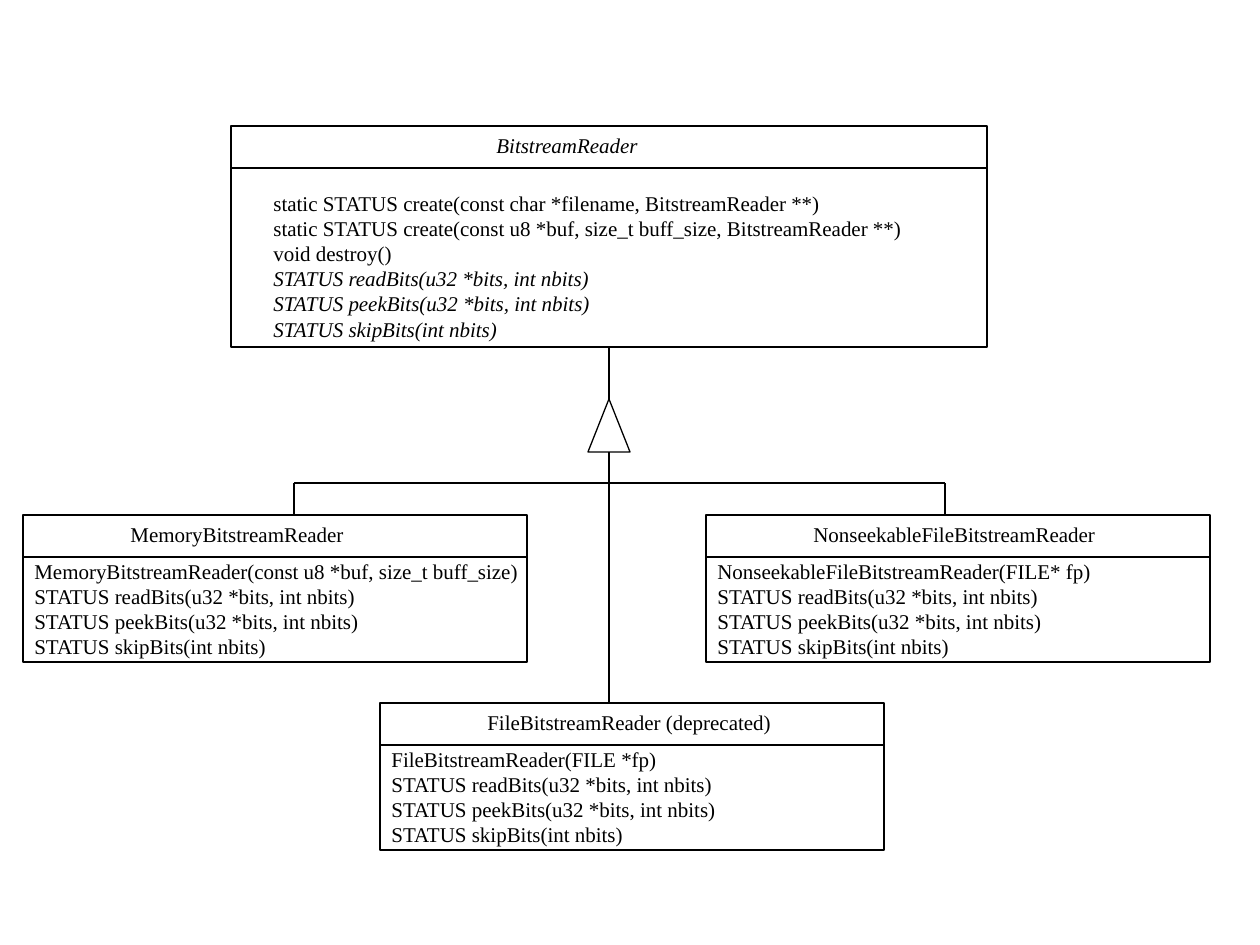
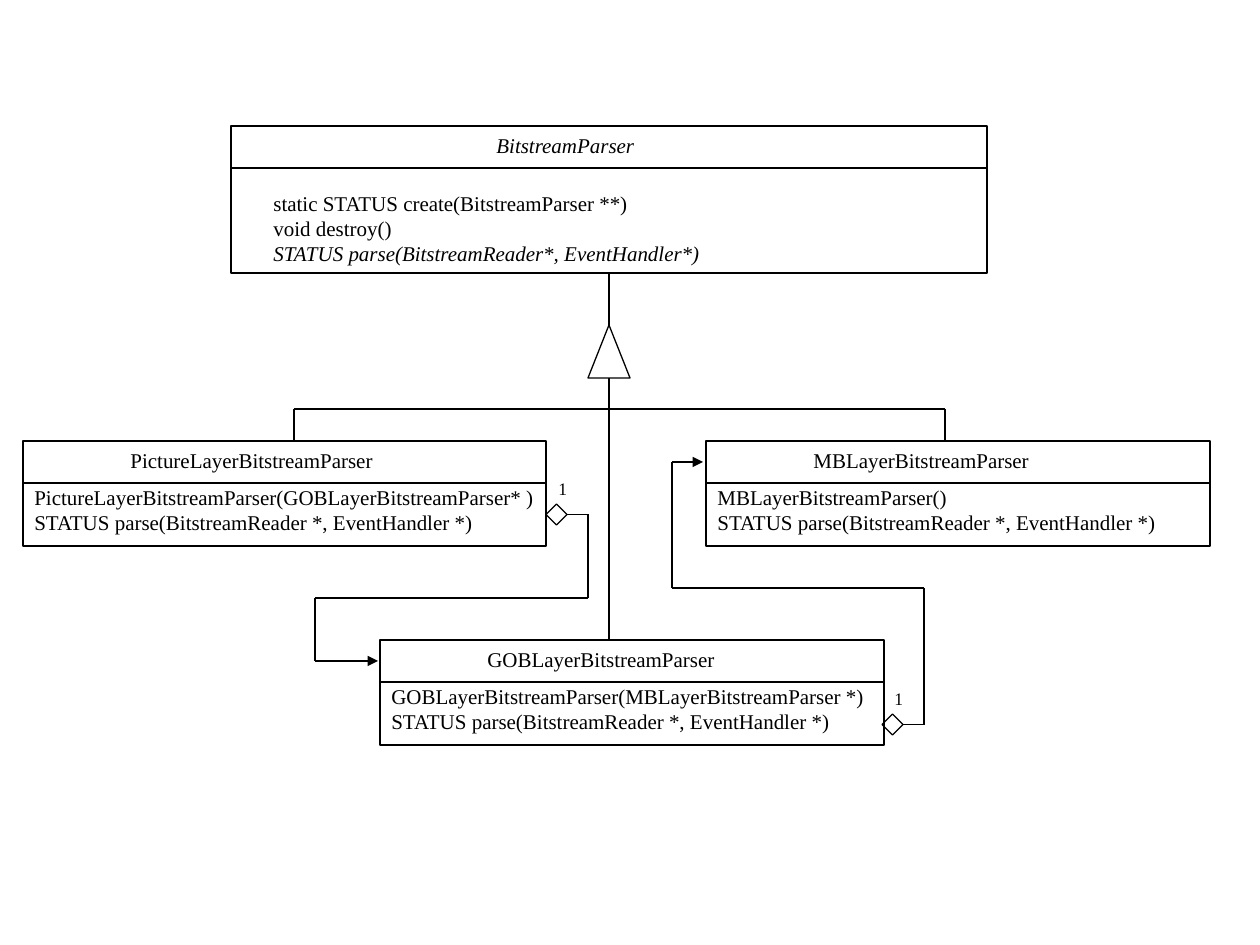
import itertools

import lxml.etree
import pptx
import pptx.dml.color
import pptx.enum.shapes
import pptx.enum.text
import pptx.oxml.ns
import pptx.util

BLACK = pptx.dml.color.RGBColor(0, 0, 0)
FONT = "Times New Roman"
TEXT_SIZE = 12
LABEL_SIZE = 10
LINE_WIDTH = pptx.util.Pt(0.75)

PX_PER_INCH = 126
BLANK_LAYOUT = 6
HEADER_HEIGHT = 42

# Text offsets inside a class box: name left, members left, members top
BASE_OFFSETS = (253, 30, 58)
SUBCLASS_OFFSETS = (95, -1, 37)

# Columns shared by both diagrams
BASE_LEFT, BASE_TOP, BASE_WIDTH = 231, 126, 756
LEFT_COLUMN, MIDDLE_COLUMN, RIGHT_COLUMN = 23, 380, 706
SUBCLASS_WIDTH = 504
TRUNK_X, LEFT_BRANCH_X, RIGHT_BRANCH_X = 609, 294, 945

# Rows of the inheritance tree, measured from the bottom of the base class
TRIANGLE_TOP, TRIANGLE_BOTTOM, BRANCH_ROW, SUBCLASS_ROW = 52, 105, 136, 168
TRIANGLE_WIDTH = 42
DIAMOND_SIZE = 21


def px(length):
    return pptx.util.Emu(round(length * 914400 / PX_PER_INCH))


def add_outline(slide, kind, left, top, width, height):
    shape = slide.shapes.add_shape(kind, px(left), px(top), px(width), px(height))
    shape.shadow.inherit = False
    shape.fill.background()
    shape.line.color.rgb = BLACK
    shape.line.width = LINE_WIDTH


def add_path(slide, points, arrow=False):
    """Join the points with straight lines, with an optional arrow at the end."""
    for (x1, y1), (x2, y2) in itertools.pairwise(points):
        connector = slide.shapes.add_connector(
            pptx.enum.shapes.MSO_CONNECTOR.STRAIGHT, px(x1), px(y1), px(x2), px(y2))
        connector.line.color.rgb = BLACK
        connector.line.width = LINE_WIDTH
        properties = connector.element.spPr
        lxml.etree.SubElement(properties, pptx.oxml.ns.qn("a:effectLst"))
    if arrow:
        outline = properties.find(pptx.oxml.ns.qn("a:ln"))
        lxml.etree.SubElement(outline, pptx.oxml.ns.qn("a:tailEnd"), type="triangle")


def add_text(slide, lines, left, top, width, height, size=TEXT_SIZE, italic_from=None):
    """Write one paragraph per line; lines from italic_from on are italic."""
    box = slide.shapes.add_textbox(px(left), px(top), px(width), px(height))
    frame = box.text_frame
    frame.word_wrap = False
    frame.auto_size = pptx.enum.text.MSO_AUTO_SIZE.SHAPE_TO_FIT_TEXT
    frame.text = "\n".join(lines)
    for index, paragraph in enumerate(frame.paragraphs):
        for run in paragraph.runs:
            run.font.name = FONT
            run.font.size = pptx.util.Pt(size)
            run.font.color.rgb = BLACK
            run.font.italic = italic_from is not None and index >= italic_from


def add_class(slide, frame, name, members, text_widths,
              offsets=SUBCLASS_OFFSETS, abstract_from=None):
    left, top, width, height = frame
    name_left, members_left, members_top = offsets
    name_width, members_width = text_widths
    add_outline(slide, pptx.enum.shapes.MSO_SHAPE.RECTANGLE, *frame)
    add_text(slide, [name], left + name_left, top, name_width, 38,
             italic_from=None if abstract_from is None else 0)
    divider = top + HEADER_HEIGHT
    add_path(slide, [(left, divider), (left + width, divider)])
    add_text(slide, members, left + members_left, top + members_top,
             members_width, 25 * len(members) + 13, italic_from=abstract_from)


def add_base_class(slide, height, name, members, text_widths, abstract_from):
    add_class(slide, (BASE_LEFT, BASE_TOP, BASE_WIDTH, height), name, members,
              text_widths, BASE_OFFSETS, abstract_from)


def add_inheritance(slide, base_bottom, middle_class_top):
    triangle_top = base_bottom + TRIANGLE_TOP
    triangle_bottom = base_bottom + TRIANGLE_BOTTOM
    branch_y = base_bottom + BRANCH_ROW
    subclass_top = base_bottom + SUBCLASS_ROW
    add_outline(slide, pptx.enum.shapes.MSO_SHAPE.ISOSCELES_TRIANGLE,
                TRUNK_X - TRIANGLE_WIDTH / 2, triangle_top,
                TRIANGLE_WIDTH, triangle_bottom - triangle_top)
    add_path(slide, [(TRUNK_X, triangle_top), (TRUNK_X, base_bottom)])
    add_path(slide, [(LEFT_BRANCH_X, subclass_top), (LEFT_BRANCH_X, branch_y),
                     (RIGHT_BRANCH_X, branch_y), (RIGHT_BRANCH_X, subclass_top)])
    add_path(slide, [(TRUNK_X, triangle_bottom), (TRUNK_X, branch_y),
                     (TRUNK_X, middle_class_top)])


def add_aggregation(slide, left, top, lane_y, lane_x, target):
    """Lead from a diamond on the owner, around the boxes, to the owned class."""
    start_x = left + DIAMOND_SIZE
    start_y = top + DIAMOND_SIZE / 2
    turn_x = start_x + DIAMOND_SIZE
    add_outline(slide, pptx.enum.shapes.MSO_SHAPE.DIAMOND,
                left, top, DIAMOND_SIZE, DIAMOND_SIZE)
    add_path(slide, [(start_x, start_y), (turn_x, start_y), (turn_x, lane_y),
                     (lane_x, lane_y), (lane_x, target[1]), target], arrow=True)
    add_text(slide, ["1"], left, top - 32, 35, 34, size=LABEL_SIZE)


def build_reader_slide(slide):
    base_height = 221
    base_bottom = BASE_TOP + base_height
    file_top = 703
    bit_methods = ["STATUS readBits(u32 *bits, int nbits)",
                   "STATUS peekBits(u32 *bits, int nbits)",
                   "STATUS skipBits(int nbits)"]
    add_base_class(
        slide, base_height, "BitstreamReader",
        ["static STATUS create(const char *filename, BitstreamReader **)",
         "static STATUS create(const u8 *buf, size_t buff_size, BitstreamReader **)",
         "void destroy()"] + bit_methods, (172, 662), abstract_from=3)
    row_top = base_bottom + SUBCLASS_ROW
    subclasses = [
        (LEFT_COLUMN, row_top, "MemoryBitstreamReader",
         "MemoryBitstreamReader(const u8 *buf, size_t buff_size)", (244, 515)),
        (RIGHT_COLUMN, row_top, "NonseekableFileBitstreamReader",
         "NonseekableFileBitstreamReader(FILE* fp)", (313, 405)),
        (MIDDLE_COLUMN, file_top, "FileBitstreamReader (deprecated)",
         "FileBitstreamReader(FILE *fp)", (315, 358)),
    ]
    for left, top, name, constructor, text_widths in subclasses:
        add_class(slide, (left, top, SUBCLASS_WIDTH, 147), name,
                  [constructor] + bit_methods, text_widths)
    add_inheritance(slide, base_bottom, file_top)


def build_parser_slide(slide):
    base_height = 147
    base_bottom = BASE_TOP + base_height
    gob_top = 640
    add_base_class(
        slide, base_height, "BitstreamParser",
        ["static STATUS create(BitstreamParser **)", "void destroy()",
         "STATUS parse(BitstreamReader*, EventHandler*)"], (169, 460), abstract_from=2)
    row_top = base_bottom + SUBCLASS_ROW
    subclasses = [
        (LEFT_COLUMN, row_top, 523, "PictureLayerBitstreamParser",
         "PictureLayerBitstreamParser(GOBLayerBitstreamParser* )", (273, 531)),
        (RIGHT_COLUMN, row_top, SUBCLASS_WIDTH, "MBLayerBitstreamParser",
         "MBLayerBitstreamParser()", (247, 472)),
        (MIDDLE_COLUMN, gob_top, SUBCLASS_WIDTH, "GOBLayerBitstreamParser",
         "GOBLayerBitstreamParser(MBLayerBitstreamParser *)", (258, 504)),
    ]
    for left, top, width, name, constructor, text_widths in subclasses:
        add_class(slide, (left, top, width, 105), name,
                  [constructor, "STATUS parse(BitstreamReader *, EventHandler *)"],
                  text_widths)
    add_inheritance(slide, base_bottom, gob_top)
    # Picture layer owns the GOB layer, which owns the MB layer
    add_aggregation(slide, 546, 504, lane_y=598, lane_x=315, target=(378, 661))
    add_aggregation(slide, 882, 714, lane_y=588, lane_x=672, target=(703, 462))


def main():
    presentation = pptx.Presentation()
    presentation.slide_width = pptx.util.Inches(10)
    presentation.slide_height = pptx.util.Inches(7.5)
    for build in (build_reader_slide, build_parser_slide):
        build(presentation.slides.add_slide(presentation.slide_layouts[BLANK_LAYOUT]))
    presentation.save("out.pptx")


if __name__ == "__main__":
    main()
